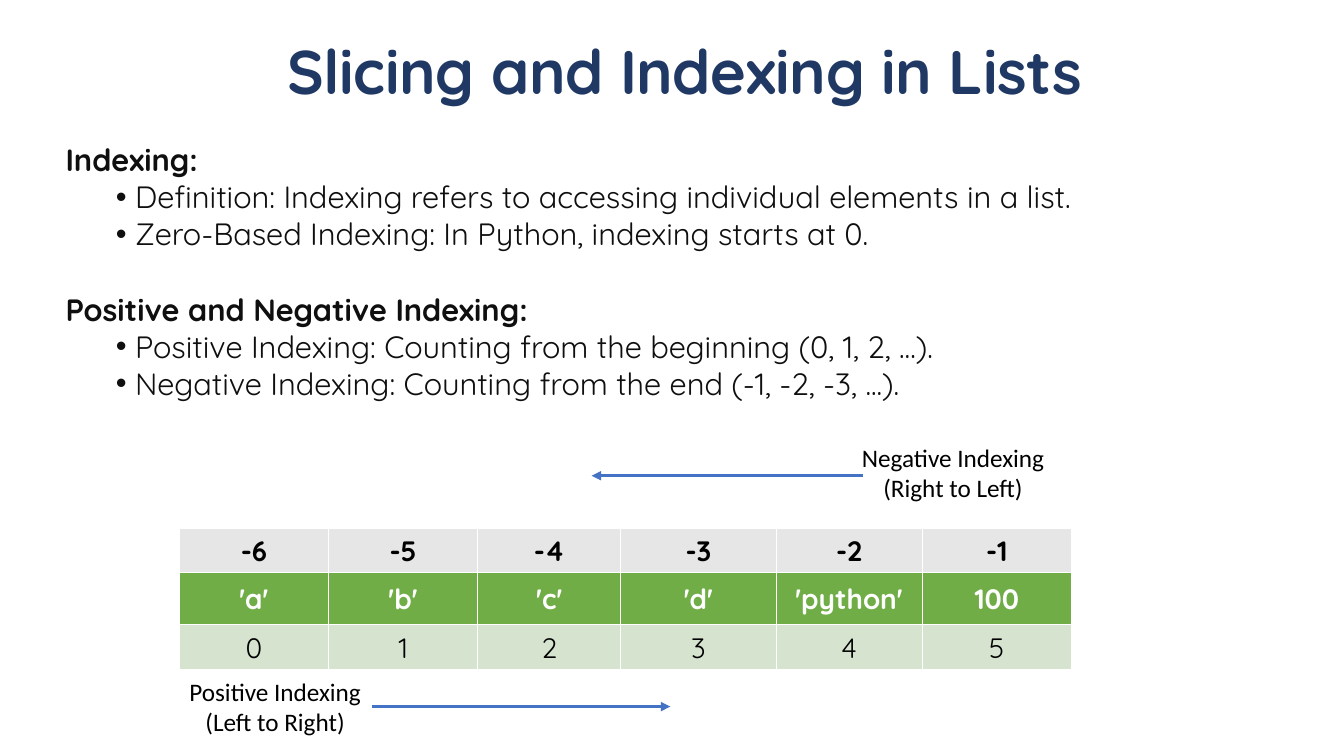
from lxml import etree
from pptx import Presentation
from pptx.dml.color import RGBColor
from pptx.enum.shapes import MSO_CONNECTOR
from pptx.enum.text import MSO_ANCHOR, MSO_AUTO_SIZE, PP_ALIGN
from pptx.oxml.ns import qn
from pptx.util import Inches, Pt

STRAIGHT = MSO_CONNECTOR.STRAIGHT
CENTER, LEFT = PP_ALIGN.CENTER, PP_ALIGN.LEFT
MIDDLE, TOP = MSO_ANCHOR.MIDDLE, MSO_ANCHOR.TOP
NO_AUTOFIT = MSO_AUTO_SIZE.NONE

NAVY = RGBColor(0x20, 0x38, 0x64)
INK = RGBColor(0x0F, 0x0F, 0x0F)
BLACK = RGBColor(0x00, 0x00, 0x00)
WHITE = RGBColor(0xFF, 0xFF, 0xFF)
BLUE = RGBColor(0x44, 0x72, 0xC4)
GRAY = RGBColor(0xE7, 0xE6, 0xE6)
GREEN = RGBColor(0x70, 0xAD, 0x47)
PALE_GREEN = RGBColor(0xD5, 0xE3, 0xCF)

HEADING_FONT = "Quicksand"
LABEL_FONT = "Calibri"
COLUMNS, ROWS = 80, 45
TITLE_AND_CONTENT = 1

SECTIONS = [
    ("Indexing:", [
        "Definition: Indexing refers to accessing individual elements in a list.",
        "Zero-Based Indexing: In Python, indexing starts at 0.",
    ]),
    ("Positive and Negative Indexing:", [
        "Positive Indexing: Counting from the beginning (0, 1, 2, ...).",
        "Negative Indexing: Counting from the end (-1, -2, -3, ...).",
    ]),
]
ELEMENTS = ["'a'", "'b'", "'c'", "'d'", "'python'", "100"]
COUNT = len(ELEMENTS)
# Each row: texts, fill, text colour, bold, height in grid rows
TABLE_ROWS = [
    ([str(index - COUNT) for index in range(COUNT)], GRAY, BLACK, True, 2.64),
    (ELEMENTS, GREEN, WHITE, True, 3.12),
    ([str(index) for index in range(COUNT)], PALE_GREEN, BLACK, False, 2.64),
]
TABLE_COLUMNS = [8.88, 8.88, 8.52, 9.24, 8.7, 8.88]


class SlideBuilder:
    """Places elements on a grid of 80 columns by 45 rows."""

    def __init__(self, presentation):
        self.column = presentation.slide_width / COLUMNS
        self.row = presentation.slide_height / ROWS
        layout = presentation.slide_layouts[TITLE_AND_CONTENT]
        self.slide = presentation.slides.add_slide(layout)

    def across(self, columns):
        return round(columns * self.column)

    def down(self, rows):
        return round(rows * self.row)

    def box(self, left, top, width, height):
        return (self.across(left), self.down(top),
                self.across(width), self.down(height))

    def move(self, shape, area):
        shape.left, shape.top, shape.width, shape.height = self.box(*area)

    def style(self, paragraph, size, color, bold=False, font=HEADING_FONT, align=CENTER):
        paragraph.alignment = align
        for run in paragraph.runs:
            run.font.name = font
            run.font.size = Pt(size)
            run.font.bold = bold
            run.font.color.rgb = color

    def title(self, text, area):
        shape = self.slide.shapes.title
        self.move(shape, area)
        frame = shape.text_frame
        frame.text = text
        frame.auto_size = NO_AUTOFIT
        frame.vertical_anchor = MIDDLE
        frame.margin_left = frame.margin_right = frame.margin_bottom = 0
        frame.margin_top = Inches(0.01)
        paragraph = frame.paragraphs[0]
        paragraph.line_spacing = 0.9
        self.style(paragraph, 44, NAVY, bold=True)
        paragraph.runs[0].font._element.set("spc", "-30")

    def set_bullet(self, paragraph, bulleted):
        properties = paragraph._p.get_or_add_pPr()
        properties.set("marL", str(Inches(0.69) if bulleted else 0))
        properties.set("indent", str(Inches(-0.19) if bulleted else 0))
        if bulleted:
            etree.SubElement(properties, qn("a:buFont")).set("typeface", "Arial")
            etree.SubElement(properties, qn("a:buChar")).set("char", "•")
        else:
            etree.SubElement(properties, qn("a:buNone"))

    def body(self, sections, area, size=22, section_gap=27.5):
        shape = self.slide.placeholders[1]
        self.move(shape, area)
        frame = shape.text_frame
        lines = [line for heading, points in sections for line in (heading, *points)]
        headings = [heading for heading, _ in sections]
        frame.text = "\n".join(lines)
        frame.auto_size = NO_AUTOFIT
        frame.vertical_anchor = TOP
        for position, paragraph in enumerate(frame.paragraphs):
            is_heading = paragraph.text in headings
            starts_section = is_heading and position > 0
            paragraph.level = 0 if is_heading else 1
            paragraph.space_before = Pt(section_gap if starts_section else 0)
            self.style(paragraph, size, INK, bold=is_heading, align=LEFT)
            self.set_bullet(paragraph, not is_heading)

    def label(self, text, area, wrap=True):
        frame = self.slide.shapes.add_textbox(*self.box(*area)).text_frame
        frame.word_wrap = wrap
        frame.text = text
        for paragraph in frame.paragraphs:
            self.style(paragraph, 18, BLACK, font=LABEL_FONT)

    def arrow(self, start, end, row):
        height = self.down(row)
        connector = self.slide.shapes.add_connector(
            STRAIGHT, self.across(start), height, self.across(end), height)
        connector.line.color.rgb = BLUE
        connector.line.width = Pt(2.25)
        etree.SubElement(connector.line._get_or_add_ln(), qn("a:tailEnd")).set("type", "triangle")
        etree.SubElement(connector._element.spPr, qn("a:effectLst"))

    def set_borders(self, cell):
        properties = cell._tc.get_or_add_tcPr()
        for side in ("lnL", "lnR", "lnT", "lnB"):
            border = etree.SubElement(properties, qn(f"a:{side}"), w=str(Pt(0.75)))
            fill = etree.SubElement(border, qn("a:solidFill"))
            etree.SubElement(fill, qn("a:srgbClr")).set("val", str(WHITE))

    def table(self, rows, columns, left, top):
        height = sum(row[-1] for row in rows)
        table = self.slide.shapes.add_table(
            len(rows), len(columns), *self.box(left, top, sum(columns), height)).table
        for column, width in zip(table.columns, columns):
            column.width = self.across(width)
        for row, (texts, fill, color, bold, row_height) in zip(table.rows, rows):
            row.height = self.down(row_height)
            for cell, text in zip(row.cells, texts):
                self.set_borders(cell)
                cell.fill.solid()
                cell.fill.fore_color.rgb = fill
                cell.vertical_anchor = MIDDLE
                cell.text_frame.text = text
                self.style(cell.text_frame.paragraphs[0], 20, color, bold)


def main():
    presentation = Presentation()
    presentation.slide_width = Inches(13.33)
    presentation.slide_height = Inches(7.5)
    builder = SlideBuilder(presentation)
    builder.title("Slicing and Indexing in Lists", (13.92, 2.28, 53.7, 4.2))
    builder.body(SECTIONS, (3.3, 8.1, 75, 18.36))
    builder.label("Positive Indexing\n(Left to Right)", (10.62, 39.96, 11.52, 4.26), wrap=False)
    builder.label("Negative Indexing\n(Right to Left)", (50.64, 26.04, 12.18, 4.26))
    builder.arrow(51.36, 35.22, row=28.32)
    builder.arrow(22.14, 39.9, row=42.06)
    builder.table(TABLE_ROWS, TABLE_COLUMNS, left=10.68, top=31.44)
    presentation.save("out.pptx")


if __name__ == "__main__":
    main()
